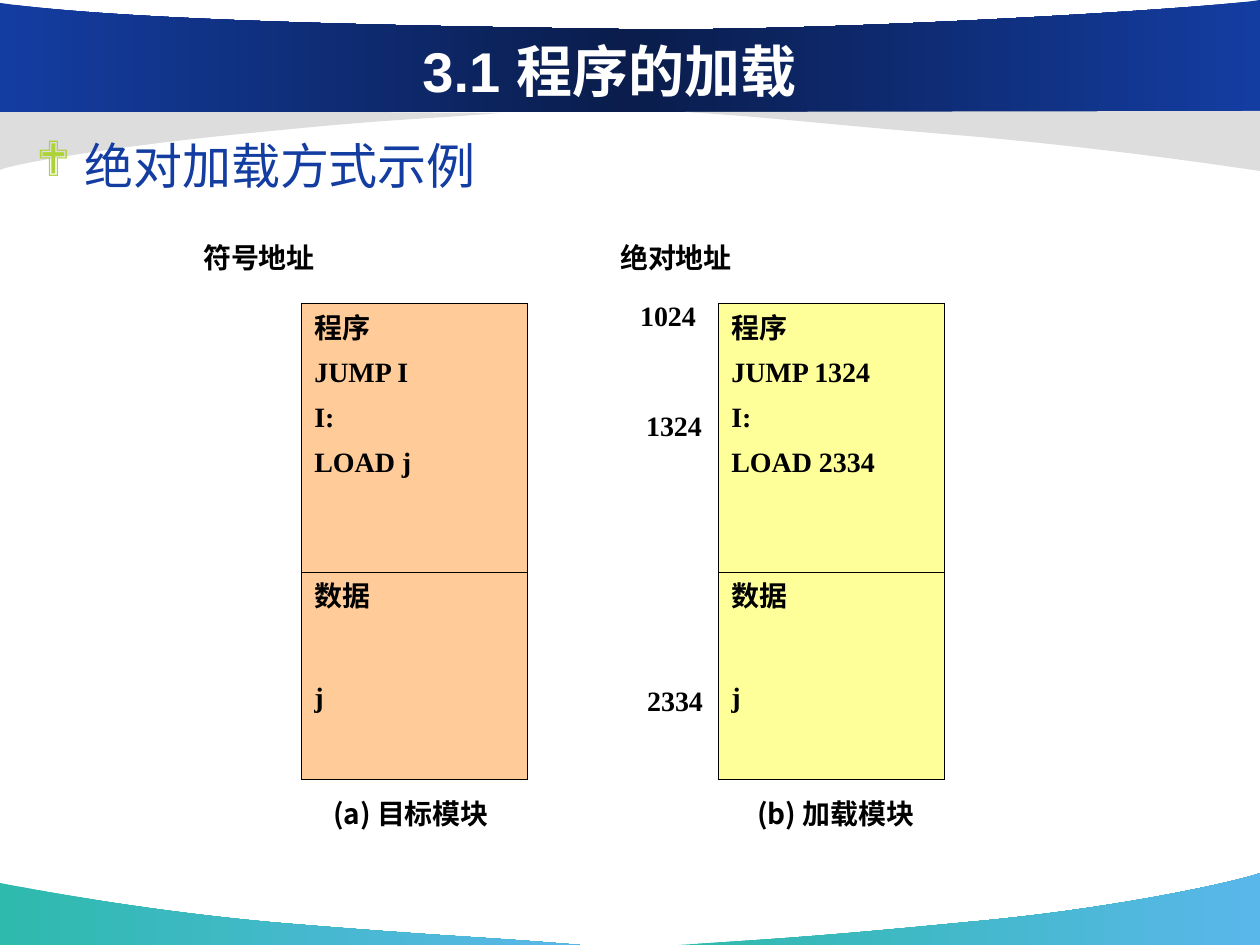
import copy
import pptx
import pptx.dml.color
import pptx.enum.shapes
import pptx.enum.text
import pptx.oxml.ns
import pptx.util
from lxml import etree

PX = 7257  # EMU in one px, 126 px to the inch
RECT = pptx.enum.shapes.MSO_SHAPE.RECTANGLE
TIMES, NOTO = "Times New Roman", "Noto Sans CJK SC"
qn = pptx.oxml.ns.qn


def hue(code):
    return pptx.dml.color.RGBColor.from_string(code)


def write(shape, text, size=16, font=TIMES, color="000000", bold=True,
          align="LEFT", anchor="TOP", before=0, after=0):
    """Put one paragraph per line of text into the shape."""
    frame = shape.text_frame
    frame.word_wrap = True
    frame.vertical_anchor = getattr(pptx.enum.text.MSO_ANCHOR, anchor)
    for i, line in enumerate(text.split("\n")):
        para = frame.add_paragraph() if i else frame.paragraphs[0]
        para.alignment = getattr(pptx.enum.text.PP_ALIGN, align)
        para.space_before = pptx.util.Pt(before if i else 0)
        para.space_after = pptx.util.Pt(after)
        run = para.add_run()
        run.text = line
        run.font.size = pptx.util.Pt(size)
        run.font.bold = bold
        run.font.name = font
        run.font.color.rgb = hue(color)
        east = etree.SubElement(run.font._element, qn("a:ea"))
        east.set("typeface", NOTO)
    return frame


deck = pptx.Presentation()
deck.slide_width = pptx.util.Inches(10)
deck.slide_height = pptx.util.Inches(7.5)
slide = deck.slides.add_slide(deck.slide_layouts[6])

# Curved bands: fill colours, two joined Bezier curves, closing corners
TEAL = ["2EBAAD", "5AB7EA"]
NAVY = ["143DA2", "0A1D4C", "143DA2"]
GREY = ["DDDDDD"]
bands = [
    (TEAL, [(580, 945), (484, 937), (451, 937), (292, 924),
            (134, 911), (1, 883), (0, 883)], [(0, 945)]),
    (TEAL, [(679, 945), (774, 939), (814, 937), (969, 922),
            (1124, 908), (1247, 879), (1260, 873)], [(1260, 945)]),
    (GREY, [(501, 113), (417, 120), (401, 118), (262, 132),
            (122, 145), (11, 164), (0, 170)], [(0, 110)]),
    (NAVY, [(1260, 0), (1215, 8), (823, 33), (614, 29),
            (404, 26), (127, 21), (0, 3)], [(0, 112), (1260, 112)]),
    (GREY, [(685, 112), (781, 118), (809, 123), (968, 136),
            (1126, 150), (1259, 171), (1260, 171)], [(1260, 111)]),
]
for tones, curve, ends in bands:
    pen = slide.shapes.build_freeform(*curve[0], scale=PX)
    pen.add_line_segments(curve[1:] + ends, close=True)
    band = pen.convert_to_shape()
    band.shadow.inherit = False
    band.line.fill.background()

    # Every three of the first six segments become one Bezier curve
    lines = band._element.findall(".//" + qn("a:lnTo"))
    for k in (0, 3):
        bend = etree.Element(qn("a:cubicBezTo"))
        lines[k].addprevious(bend)
        for line in lines[k:k + 3]:
            bend.append(line[0])
            line.getparent().remove(line)

    if len(tones) == 1:
        band.fill.solid()
        band.fill.fore_color.rgb = hue(tones[0])
        continue
    band.fill.gradient()
    band.fill.gradient_angle = 0
    stops = band._element.spPr.find(".//" + qn("a:gsLst"))
    for extra in tones[2:]:
        stops.append(copy.deepcopy(stops[0]))
    for i, stop in enumerate(band.fill.gradient_stops):
        stop.position = i / (len(tones) - 1)
        stop.color.rgb = hue(tones[i])

# Title
box = slide.shapes.add_textbox(116 * PX, 31 * PX, 987 * PX, 78 * PX)
write(box, "3.1 程序的加载", size=32, font="Arial", color="FFFFFF",
      align="CENTER", anchor="MIDDLE")

# Bulleted heading
box = slide.shapes.add_textbox(24 * PX, 118 * PX, 1134 * PX, 683 * PX)
frame = write(box, "绝对加载方式示例", size=28, font="Arial", color="143DA2",
              bold=False)
frame.paragraphs[0].line_spacing = 1.2
props = frame.paragraphs[0]._p.get_or_add_pPr()
props.set("marL", str(48 * PX))
props.set("indent", str(-48 * PX))
tint = etree.SubElement(props, qn("a:buClr"))
etree.SubElement(tint, qn("a:srgbClr")).set("val", "AED337")
etree.SubElement(props, qn("a:buFont")).set("typeface", "Wingdings")
etree.SubElement(props, qn("a:buChar")).set("char", "❖")

# Memory modules: left, fill, code, heading, caption and its width, addresses
modules = [
    (302, "FFCC99", "程序\nJUMP I\nI:\nLOAD j", "符号地址",
     "(a) 目标模块", 238, []),
    (719, "FFFF99", "程序\nJUMP 1324\nI:\nLOAD 2334", "绝对地址",
     "(b) 加载模块", 254,
     [("1024", 609, 292), ("1324", 615, 402), ("2334", 616, 677)]),
]
for left, tone, code, head, title, wide, marks in modules:
    group = slide.shapes.add_group_shape().shapes
    whole = group.add_shape(RECT, left * PX, 304 * PX, 226 * PX, 476 * PX)
    whole.fill.solid()
    whole.fill.fore_color.rgb = hue(tone)
    write(whole, code, before=3.2, after=3.2)
    data = group.add_shape(RECT, left * PX, 572 * PX, 226 * PX, 208 * PX)
    data.fill.background()
    write(data, "数据\nj", before=38.5)
    for part in (whole, data):
        part.shadow.inherit = False
        part.line.color.rgb = hue("000000")
        # Without the theme style the outline keeps its thin default width
        part._element.remove(part._element.find(qn("p:style")))

    labels = [(head, left - 128, 234, 170, TIMES),
              (title, left - 10, 790, wide, NOTO)]
    labels += [(mark, x, y, 118, TIMES) for mark, x, y in marks]
    for text, x, y, width, font in labels:
        box = group.add_textbox(x * PX, y * PX, width * PX, 59 * PX)
        write(box, text, font=font, align="CENTER")

deck.save("out.pptx")
